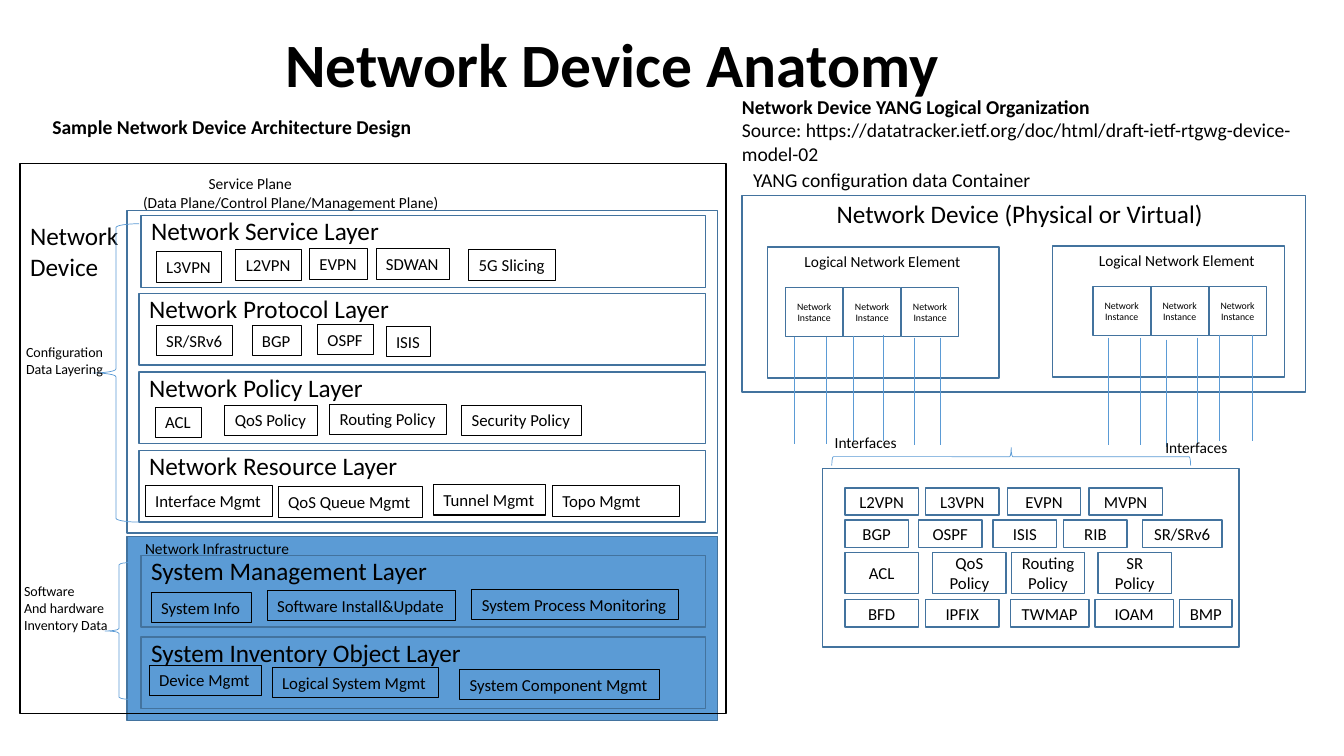
from pptx import Presentation
from pptx.util import Inches, Pt
from pptx.dml.color import RGBColor as RGB
from pptx.enum.shapes import MSO_SHAPE as Form, MSO_CONNECTOR as Wire
from pptx.enum.text import MSO_ANCHOR as Anchor, MSO_AUTO_SIZE as Auto, PP_ALIGN as Align
from pptx.oxml import parse_xml
from pptx.oxml.ns import nsdecls
from dataclasses import dataclass


@dataclass(frozen=True)
class Theme:
    font: str = "Calibri"
    ink: RGB = RGB(0, 0, 0)
    edge: RGB = RGB(0x43, 0x73, 0x9E)
    blue: RGB = RGB(0x5B, 0x9B, 0xD5)
    title: int = 44
    head: int = 18
    sub: int = 14
    chip: int = 12
    note: int = 11
    side: int = 10
    tiny: int = 7


look = Theme()
deck = Presentation()
deck.slide_width, deck.slide_height = Inches(13.33), Inches(7.5)
slide = deck.slides.add_slide(deck.slide_layouts[5])
shapes = slide.shapes

# Grid: 13.33 columns by 7.5 rows
col, row = deck.slide_width / 13.33, deck.slide_height / 7.5


def write(at, text, size, bold=False, wrap=False, host=None, mid=False):
    """Put text in the host, or in a new text box at the given grid place."""
    if host is None:
        x, y, w, h = at
        host = shapes.add_textbox(round(x * col), round(y * row), round(w * col), round(h * row))
    frame = host.text_frame
    frame.text = text
    frame.word_wrap = wrap
    frame.auto_size = Auto.NONE if mid else Auto.SHAPE_TO_FIT_TEXT
    frame.vertical_anchor = Anchor.MIDDLE if mid else Anchor.TOP
    for para in frame.paragraphs:
        para.alignment = Align.CENTER if mid else Align.LEFT
        para.font.name, para.font.size = look.font, Pt(size)
        para.font.bold, para.font.color.rgb = bold, look.ink
    return frame


def draw(at, line=look.edge, width=1, fill=None, form=Form.RECTANGLE):
    """Draw an outlined shape at the given grid place."""
    x, y, w, h = at
    shape = shapes.add_shape(form, round(x * col), round(y * row), round(w * col), round(h * row))
    shape.shadow.inherit = False
    shape.line.color.rgb, shape.line.width = line, Pt(width)
    if fill is None:
        shape.fill.background()
    else:
        shape.fill.solid()
        shape.fill.fore_color.rgb = fill
    return shape


# Title
title = shapes.title
title.left, title.top = round(0.92 * col), round(0.14 * row)
title.width, title.height = round(11.5 * col), round(1.06 * row)
frame = write(None, "Network Device Anatomy", look.title, bold=True, wrap=True, host=title, mid=True)
frame.margin_left = round(1.91 * col)
frame.paragraphs[0].alignment = Align.LEFT
frame.paragraphs[0].line_spacing = 0.9

# Left side: device frame and its two planes
draw((1.26, 5.32, 5.86, 1.83), fill=look.blue)
draw((0.2, 1.62, 7, 5.46), line=look.ink)
draw((1.26, 2.09, 5.86, 3.2))
write((0.42, 1.09, 3.79, 0.34), "Sample Network Device Architecture Design", look.sub, bold=True)
write((0.2, 2.14, 1.14, 0.71), "Network\nDevice", look.head)
write((1.34, 5.3, 1.65, 0.29), "Network Infrastructure", look.note)
plane = write((1.32, 1.68, 3.15, 0.47),
              "Service Plane\n(Data Plane/Control Plane/Management Plane)", look.note)
plane.paragraphs[0]._p.get_or_add_pPr().set("marL", str(round(0.65 * col)))

# Layers, each with a row of chips: name, left, top, width
layers = [
    ("Network Service Layer", 1.4, 2.14, 2.49,
     [("L3VPN", 1.55, 2.5, 0.65), ("L2VPN", 2.34, 2.48, 0.65), ("EVPN", 3.07, 2.47, 0.58),
      ("SDWAN", 3.73, 2.47, 0.73), ("5G Slicing", 4.65, 2.48, 0.86)]),
    ("Network Protocol Layer", 1.38, 2.91, 2.61,
     [("SR/SRv6", 1.55, 3.23, 0.76), ("BGP", 2.5, 3.23, 0.49),
      ("OSPF", 3.15, 3.22, 0.56), ("ISIS", 3.83, 3.24, 0.44)]),
    ("Network Policy Layer", 1.38, 3.69, 2.35,
     [("ACL", 1.54, 4.04, 0.46), ("QoS Policy", 2.23, 4.02, 0.92),
      ("Routing Policy", 3.27, 4.01, 1.16), ("Security Policy", 4.58, 4.02, 1.19)]),
    ("Network Resource Layer", 1.38, 4.47, 2.69,
     [("Interface Mgmt", 1.44, 4.82, 1.26), ("QoS Queue Mgmt", 2.76, 4.83, 1.43),
      ("Tunnel Mgmt", 4.3, 4.81, 1.11), ("Topo Mgmt", 5.48, 4.82, 1.26)]),
    ("System Management Layer", 1.4, 5.51, 2.97,
     [("System Info", 1.5, 5.88, 0.99), ("Software Install&Update", 2.65, 5.86, 1.87),
      ("System Process Monitoring", 4.68, 5.85, 2.05)]),
    ("System Inventory Object Layer", 1.4, 6.32, 3.31,
     [("Device Mgmt", 1.48, 6.6, 1.11), ("Logical System Mgmt", 2.7, 6.62, 1.65),
      ("System Component Mgmt", 4.56, 6.64, 1.98)]),
]
for name, x, y, wide, chips in layers:
    draw((x, y, 7 - x, 0.71))
    write((x, y - 0.05, wide, 0.4), name, look.head)
    for chip, left, top, w in chips:
        box = draw((left, top, w, 0.3), line=look.ink, width=0.75)
        write(None, chip, look.chip, wrap=chip == "Topo Mgmt", host=box)

# Braces and side notes
draw((0.92, 2.22, 0.46, 2.96), look.blue, 0.5, form=Form.LEFT_BRACE)
draw((1.04, 5.58, 0.28, 1.36), look.blue, 0.5, form=Form.LEFT_BRACE)
write((0.16, 3.36, 1.02, 0.44), "Configuration Data Layering", look.side, wrap=True)
write((0.14, 5.73, 1.05, 0.61), "Software\nAnd hardware\nInventory Data", look.side)

# Right side: headings and device container
source = write((7.26, 0.89, 6, 0.81),
               "Network Device YANG Logical Organization\n"
               "Source: https://datatracker.ietf.org/doc/html/draft-ietf-rtgwg-device-model-02",
               look.sub, wrap=True)
source.paragraphs[0].font.bold = True
write((7.37, 1.62, 2.98, 0.34), "YANG configuration data Container", look.sub)
draw((7.36, 1.94, 5.59, 1.95))
write((8.2, 1.92, 3.87, 0.4), "Network Device (Physical or Virtual)", look.head)

# Logical elements, each with three instances: left, top, label, first instance
for x, y, label, first in [(7.61, 2.45, 7.88, 7.79), (10.44, 2.44, 10.8, 10.84)]:
    draw((x, y, 2.3, 1.3))
    write((label, y, 1.76, 0.29), "Logical Network Element", look.note)
    for i in range(3):
        box = draw((first + 0.575 * i, y + 0.4, 0.57, 0.49))
        write(None, "Network\nInstance", look.tiny, wrap=True, host=box, mid=True)

# Interface lines: column and top
for x, y in [(7.88, 3.34), (8.2, 3.34), (8.46, 3.33), (8.76, 3.32), (9.07, 3.35), (9.33, 3.35),
             (10.99, 3.35), (11.31, 3.35), (11.57, 3.37), (11.88, 3.35), (12.09, 3.32), (12.42, 3.32)]:
    line = shapes.add_connector(Wire.STRAIGHT, round(x * col), round(y * row),
                                round(x * col), round((y + 1.06) * row))
    line.line.color.rgb, line.line.width = look.blue, Pt(0.5)
    line._element.spPr.append(parse_xml(f"<a:effectLst {nsdecls('a')}/>"))
for x, y in [(8.18, 4.25), (11.46, 4.3)]:
    write((x, y, 0.83, 0.29), "Interfaces", look.note)
brace = draw((9.94, 2.75, 0.18, 3.56), look.blue, 0.5, form=Form.RIGHT_BRACE)
brace.rotation = 270

# Modules by row: top, height, then name, left, width
draw((8.16, 4.65, 4.13, 1.77))
ranks = [
    (4.84, 0.27, [("L2VPN", 8.38, 0.73), ("L3VPN", 9.18, 0.73), ("EVPN", 9.99, 0.73),
                  ("MVPN", 10.8, 0.73)]),
    (5.16, 0.27, [("BGP", 8.38, 0.63), ("OSPF", 9.11, 0.63), ("ISIS", 9.85, 0.63),
                  ("RIB", 10.55, 0.63), ("SR/SRv6", 11.33, 0.79)]),
    (5.48, 0.41, [("ACL", 8.38, 0.73), ("QoS Policy", 9.25, 0.73),
                  ("Routing Policy", 10.03, 0.73), ("SR\nPolicy", 10.89, 0.73)]),
    (5.95, 0.27, [("BFD", 8.38, 0.73), ("IPFIX", 9.18, 0.73), ("TWMAP", 10.02, 0.78),
                  ("IOAM", 10.86, 0.78), ("BMP", 11.7, 0.52)]),
]
for y, h, mods in ranks:
    for name, x, w in mods:
        write(None, name, look.chip, wrap=True, host=draw((x, y, w, h)), mid=True)

deck.save("out.pptx")
